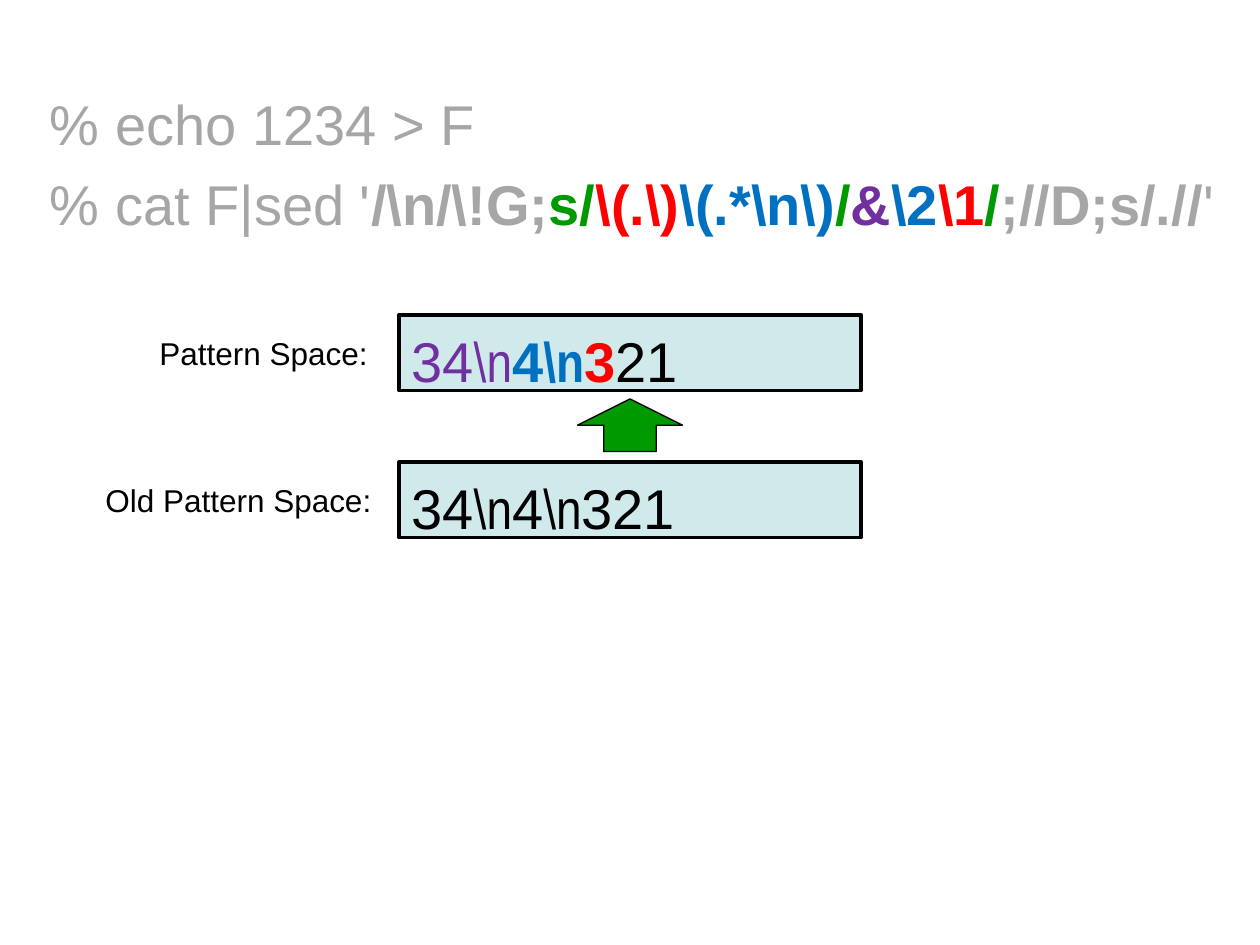
from pptx import Presentation
from pptx.dml.color import RGBColor
from pptx.enum import shapes, text
from pptx.oxml import xmlchemy
from pptx.util import Pt

INK = {
    "black": "000000", "gray": "A6A6A6", "green": "009900", "red": "FF0000",
    "blue": "0070C0", "purple": "7030A0", "pale": "D0EAEC",
}
NARROW = "Arial Narrow"


def tint(name):
    return RGBColor.from_string(INK[name])


def add_run(para, words, ink="black", bold=False, face="Arial", size=32):
    run = para.add_run()
    run.text = words
    font = run.font
    font.name, font.size, font.bold = face, Pt(size), bold
    font.color.rgb = tint(ink)


def add_code(slide, lines):
    body = slide.placeholders[1]
    body.left, body.top = Pt(-6), Pt(0)
    body.width, body.height = Pt(726), Pt(528)
    frame = body.text_frame
    frame.auto_size = text.MSO_AUTO_SIZE.NONE
    frame.vertical_anchor = text.MSO_ANCHOR.TOP
    frame.margin_top = Pt(51)
    for i, runs in enumerate(lines):
        para = frame.add_paragraph() if i else frame.paragraphs[0]
        props = para._p.get_or_add_pPr()
        props.set("marL", str(Pt(27.36)))
        props.set("indent", "0")
        props.append(xmlchemy.OxmlElement("a:buNone"))
        para.space_before = Pt(7.4 if i else 0)
        for run in runs:
            add_run(para, *run)


def add_form(slide, kind, box, fill, weight):
    form = slide.shapes.add_shape(kind, *map(Pt, box))
    form.shadow.inherit = False
    form.fill.solid()
    form.fill.fore_color.rgb = tint(fill)
    form.line.color.rgb = tint("black")
    form.line.width = Pt(weight)
    return form


def add_space(slide, top, runs):
    kind = shapes.MSO_SHAPE.RECTANGLE
    form = add_form(slide, kind, (228, top, 264, 43.2), "pale", 2.25)
    frame = form.text_frame
    frame.vertical_anchor = text.MSO_ANCHOR.TOP
    frame.margin_top, frame.margin_bottom = Pt(6.4), Pt(0)
    para = frame.paragraphs[0]
    para.alignment = text.PP_ALIGN.LEFT
    for run in runs:
        add_run(para, *run)


def add_label(slide, left, top, inset, words):
    box = slide.shapes.add_textbox(Pt(left), Pt(top), Pt(240 - left), Pt(30))
    frame = box.text_frame
    frame.word_wrap = True
    frame.vertical_anchor = text.MSO_ANCHOR.MIDDLE
    frame.margin_left = Pt(inset)
    add_run(frame.paragraphs[0], words, size=18)


def main():
    deck = Presentation()
    deck.slide_width, deck.slide_height = Pt(720), Pt(540)
    slide = deck.slides.add_slide(deck.slide_layouts[1])
    title = slide.shapes.title._element
    title.getparent().remove(title)

    add_code(slide, [
        [("% echo 1234 > F", "gray")],
        [
            ("% cat F|sed '", "gray"),
            ("/\\n/\\!G;", "gray", True),
            ("s/", "green", True),
            ("\\(.\\)", "red", True),
            ("\\(.*\\n\\)", "blue", True),
            ("/", "green", True),
            ("&", "purple", True),
            ("\\2", "blue", True),
            ("\\1", "red", True),
            ("/", "green", True),
            (";//D;s/.//", "gray", True),
            ("'", "gray"),
        ],
    ])

    new, old = 180, 264
    add_space(slide, old, [
        ("34",), ("\\n", "black", False, NARROW),
        ("4",), ("\\n", "black", False, NARROW), ("321",),
    ])
    add_form(slide, shapes.MSO_SHAPE.UP_ARROW, (330, 228, 60, 30), "green", 0.75)
    add_label(slide, 48, old + 6.6, 12.2, "Old Pattern Space:")
    add_space(slide, new, [
        ("34", "purple"), ("\\n", "purple", False, NARROW),
        ("4", "blue", True), ("\\n", "blue", True, NARROW),
        ("3", "red", True), ("21",),
    ])
    add_label(slide, 84, new + 6.6, 7.2, "Pattern Space:")
    deck.save("out.pptx")


if __name__ == "__main__":
    main()
